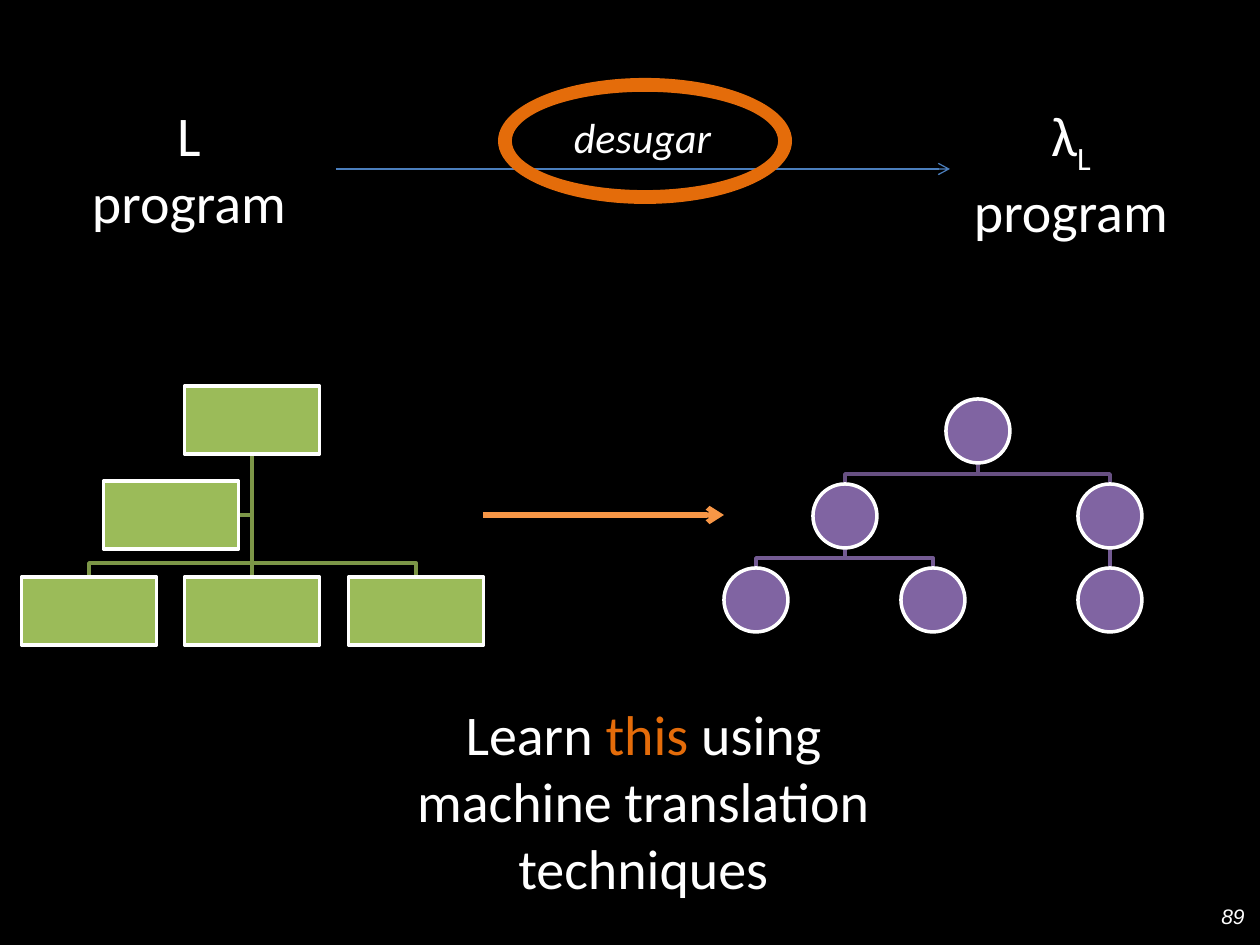
from pptx import Presentation
from pptx.dml.color import RGBColor
from pptx.enum.shapes import MSO_CONNECTOR, MSO_SHAPE
from pptx.enum.text import MSO_ANCHOR, MSO_AUTO_SIZE, PP_ALIGN
from pptx.oxml.ns import qn
from pptx.util import Pt
from lxml import etree

STRAIGHT = MSO_CONNECTOR.STRAIGHT
RECT, OVAL, DONUT = MSO_SHAPE.RECTANGLE, MSO_SHAPE.OVAL, MSO_SHAPE.DONUT
CENTER, RIGHT = PP_ALIGN.CENTER, PP_ALIGN.RIGHT
TOP, MIDDLE = MSO_ANCHOR.TOP, MSO_ANCHOR.MIDDLE
GROW, FIXED = MSO_AUTO_SIZE.SHAPE_TO_FIT_TEXT, MSO_AUTO_SIZE.NONE
SCALE = 914400 / 126
WHITE, ORANGE = "FFFFFF", "E46C0A"

TEXTS = [
    ((42, 94, 294, 149), [("L\nprogram", {})], {}),
    ((950, 94, 242, 149), [("λ", {}), ("L\n", {"base": -25000}), ("program", {})], {}),
    ((548, 105, 189, 63), [("desugar", {})], {"size": 24, "italic": True}),
    ((336, 693, 615, 217),
     [("Learn ", {}), ("this", {"color": ORANGE}),
      (" using\nmachine translation techniques", {})], {}),
    ((963, 891, 294, 50), [("89", {})],
     {"size": 12, "italic": True, "face": "Arial", "align": RIGHT,
      "anchor": MIDDLE, "fit": FIXED}),
]

ARROWS = [
    ((336, 169), (950, 169), "4B7EBC", 0.75),
    ((483, 515), (724, 515), "F79646", 3),
]

BOX, BALL = (135, 68), (64, 64)
ROOT, SIDE = (252, 420), (171, 515)
LEAVES = [(89, 611), (252, 611), (416, 611)]
TOPS = {(978, 431): [(845, 516), (1110, 516)]}
LOWS = {(845, 516): [(756, 600), (933, 600)], (1110, 516): [(1110, 600)]}

deck = Presentation()
deck.slide_width, deck.slide_height = round(1260 * SCALE), round(945 * SCALE)
slide = deck.slides.add_slide(deck.slide_layouts[6])
shapes = slide.shapes


def emu(*vals):
    return [round(v * SCALE) for v in vals]


def rgb(code):
    return RGBColor.from_string(code)


def paint(fill, code):
    fill.solid()
    fill.fore_color.rgb = rgb(code)


def stroke(shape, code, width):
    paint(shape.line.fill, code)
    shape.line.width = Pt(width)


def text(place, runs, size=32, face="Calibri", italic=False, align=CENTER,
         anchor=TOP, fit=GROW):
    frame = shapes.add_textbox(*emu(*place)).text_frame
    frame.word_wrap, frame.auto_size = True, fit
    frame.vertical_anchor = anchor
    para = frame.paragraphs[0]
    para.alignment = align
    for words, style in runs:
        for i, part in enumerate(words.split("\n")):
            if i:
                para.add_line_break()
                para._p.findall(qn("a:br"))[-1].get_or_add_rPr().set("sz", str(size * 100))
            if not part:
                continue
            run = para.add_run()
            run.text = part
            font = run.font
            font.size, font.name, font.italic = Pt(size), face, italic
            font.color.rgb = rgb(style.get("color", WHITE))
            if "base" in style:
                font._element.set("baseline", str(style["base"]))


def line(start, end, code, width, head=False):
    link = shapes.add_connector(STRAIGHT, *emu(*start, *end))
    stroke(link, code, width)
    if head:
        etree.SubElement(link.line._get_or_add_ln(), qn("a:tailEnd"), type="arrow")
    etree.SubElement(link._element.spPr, qn("a:effectLst"))


def bend(points, code):
    spots = [emu(*p) for p in points]
    pen = shapes.build_freeform(*spots[0], scale=1.0)
    pen.add_line_segments(spots[1:], close=False)
    path = pen.convert_to_shape()
    path.shadow.inherit = False
    path.fill.background()
    stroke(path, code, 2)


def branch(top, kid, size, gap, code):
    x, y = top[0], top[1] + size[1] / 2
    end = kid[1] - size[1] / 2
    if x == kid[0]:
        line((x, y), (x, end), code, 2)
    else:
        bend([(x, y), (x, end - gap), (kid[0], end - gap), (kid[0], end)], code)


def node(kind, mid, size, code, edge=WHITE):
    w, h = size
    shape = shapes.add_shape(kind, *emu(mid[0] - w / 2, mid[1] - h / 2, w, h))
    shape.shadow.inherit = False
    paint(shape.fill, code)
    if edge:
        stroke(shape, edge, 2)
    else:
        shape.line.fill.background()
    return shape


slide.background.fill.solid()
slide.background.fill.fore_color.rgb = rgb("000000")

for start, end, code, width in ARROWS:
    line(start, end, code, width, head=True)
for place, runs, style in TEXTS:
    text(place, runs, **style)

bend([(ROOT[0], ROOT[1] + BOX[1] / 2), (ROOT[0], SIDE[1]),
      (SIDE[0] + BOX[0] / 2, SIDE[1])], "7C9647")
for leaf in LEAVES:
    branch(ROOT, leaf, BOX, 14, "7C9647")
for mid in [ROOT, *LEAVES, SIDE]:
    node(RECT, mid, BOX, "9BBB59")

for tree, code in ((LOWS, "745B93"), (TOPS, "675082")):
    for top, kids in tree.items():
        for kid in kids:
            branch(top, kid, BALL, 10, code)
balls = [*TOPS, *LOWS, *[kid for kids in LOWS.values() for kid in kids]]
for mid in balls:
    node(OVAL, mid, BALL, "8064A2")

ring = node(DONUT, (645, 141), (294, 126), ORANGE, edge=None)
ring.adjustments[0] = 0.11

deck.save("out.pptx")
